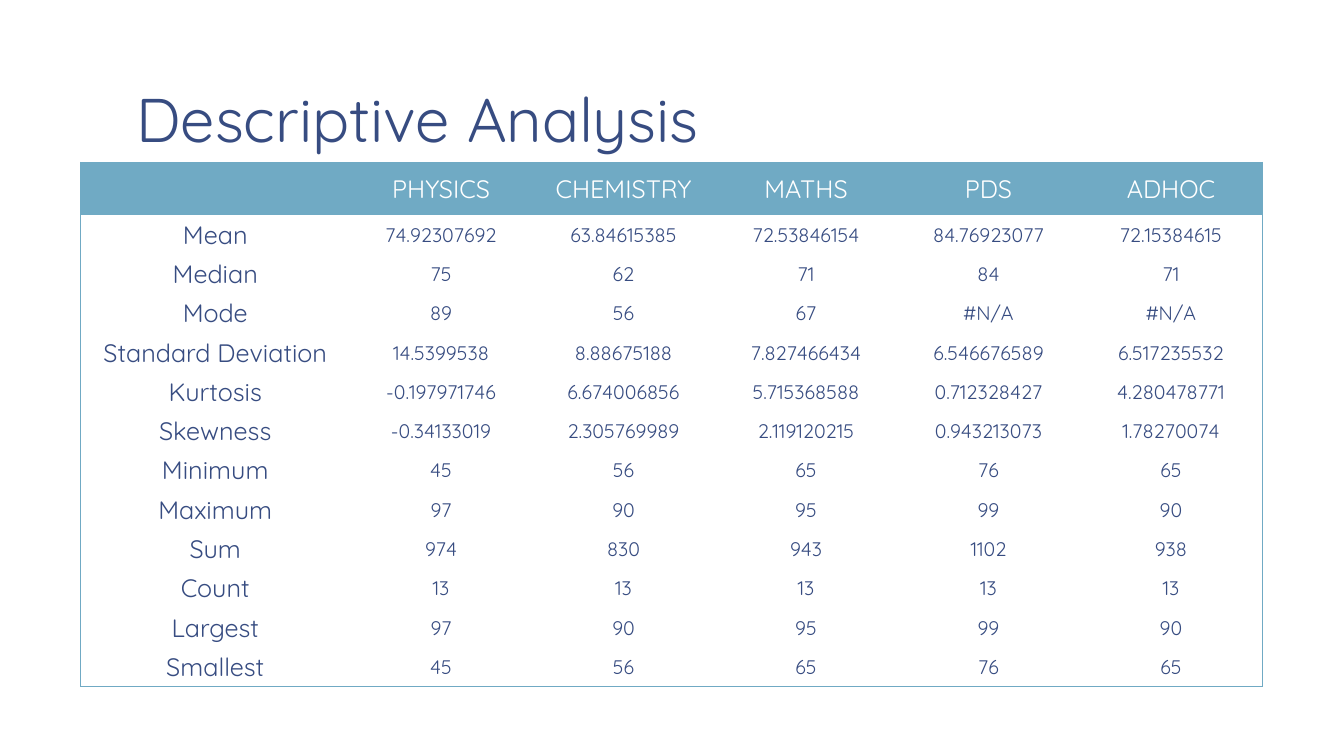
from pptx import Presentation
from pptx.dml.color import RGBColor
from pptx.enum.text import MSO_ANCHOR, PP_ALIGN
from pptx.oxml.ns import qn
from pptx.util import Inches, Pt
from lxml import etree

MIDDLE, BOTTOM = MSO_ANCHOR.MIDDLE, MSO_ANCHOR.BOTTOM
LEFT, CENTER = PP_ALIGN.LEFT, PP_ALIGN.CENTER
TITLE_ONLY = 5
FONT = "Quicksand"
COLORS = {"ink": "374C81", "teal": "70AAC4", "white": "FFFFFF"}
PLAIN_TABLE_STYLE = "{2D5ABB26-0587-4C30-8999-92F81FD0307C}"

HEADER = ["", "PHYSICS", "CHEMISTRY", "MATHS", "PDS", "ADHOC"]
STATISTICS = [
    ["Mean", "74.92307692", "63.84615385", "72.53846154", "84.76923077", "72.15384615"],
    ["Median", "75", "62", "71", "84", "71"],
    ["Mode", "89", "56", "67", "#N/A", "#N/A"],
    ["Standard Deviation", "14.5399538", "8.88675188", "7.827466434", "6.546676589", "6.517235532"],
    ["Kurtosis", "-0.197971746", "6.674006856", "5.715368588", "0.712328427", "4.280478771"],
    ["Skewness", "-0.34133019", "2.305769989", "2.119120215", "0.943213073", "1.78270074"],
    ["Minimum", "45", "56", "65", "76", "65"],
    ["Maximum", "97", "90", "95", "99", "90"],
    ["Sum", "974", "830", "943", "1102", "938"],
    ["Count", "13", "13", "13", "13", "13"],
    ["Largest", "97", "90", "95", "99", "90"],
    ["Smallest", "45", "56", "65", "76", "65"],
]


def style_paragraph(para, size, color, align):
    para.alignment = align
    para.font.name = FONT
    para.font.size = Pt(size)
    para.font.color.rgb = RGBColor.from_string(COLORS[color])


def add_title(page, text):
    title = page.shapes.title
    title.left, title.top = Inches(1.22), Inches(0.08)
    title.width, title.height = Inches(11.11), Inches(1.53)
    frame = title.text_frame
    frame.text = text
    frame.word_wrap = True
    frame.vertical_anchor = BOTTOM
    frame.margin_left = frame.margin_right = Inches(0.13)
    frame.margin_top = frame.margin_bottom = Inches(0.07)
    para = frame.paragraphs[0]
    para.line_spacing = 0.85
    style_paragraph(para, 44, "ink", LEFT)


def add_border(cell, side):
    """Draw one thin cell border; side is L, R, T or B."""
    properties = cell._tc.get_or_add_tcPr()
    line = etree.SubElement(properties, qn(f"a:ln{side}"), w=str(Pt(0.5)))
    fill = etree.SubElement(line, qn("a:solidFill"))
    etree.SubElement(fill, qn("a:srgbClr"), val=COLORS["teal"])


def fill_cell(cell, text, size, color, background):
    cell.text = text
    cell.vertical_anchor = MIDDLE
    cell.margin_left = cell.margin_right = cell.margin_top = Inches(0.01)
    cell.margin_bottom = 0
    style_paragraph(cell.text_frame.paragraphs[0], size, color, CENTER)
    cell.fill.solid()
    cell.fill.fore_color.rgb = RGBColor.from_string(COLORS[background])


def add_statistics_table(page):
    rows = [HEADER] + STATISTICS
    last_row, last_column = len(rows) - 1, len(HEADER) - 1
    frame = page.shapes.add_table(len(rows), len(HEADER), Inches(0.8), Inches(1.61),
                                  Inches(11.73), Inches(5.21))
    table = frame.table
    table.horz_banding = False
    table._tbl.tblPr.find(qn("a:tableStyleId")).text = PLAIN_TABLE_STYLE
    for c, column in enumerate(table.columns):
        column.width = Inches(1.81 if c else 2.67)
    for r, row in enumerate(table.rows):
        row.height = Inches(0.39 if r else 0.52)
        for c, cell in enumerate(row.cells):
            outer_sides = {"L": c == 0, "R": c == last_column, "T": r == 0, "B": r == last_row}
            for side, is_outer in outer_sides.items():
                if is_outer:
                    add_border(cell, side)
            size = 14 if r and c else 18
            color, background = ("ink", "white") if r else ("white", "teal")
            fill_cell(cell, rows[r][c], size, color, background)


def main():
    deck = Presentation()
    deck.slide_width, deck.slide_height = Inches(13.33), Inches(7.5)
    page = deck.slides.add_slide(deck.slide_layouts[TITLE_ONLY])
    add_title(page, "Descriptive Analysis")
    add_statistics_table(page)
    deck.save("out.pptx")


if __name__ == "__main__":
    main()
